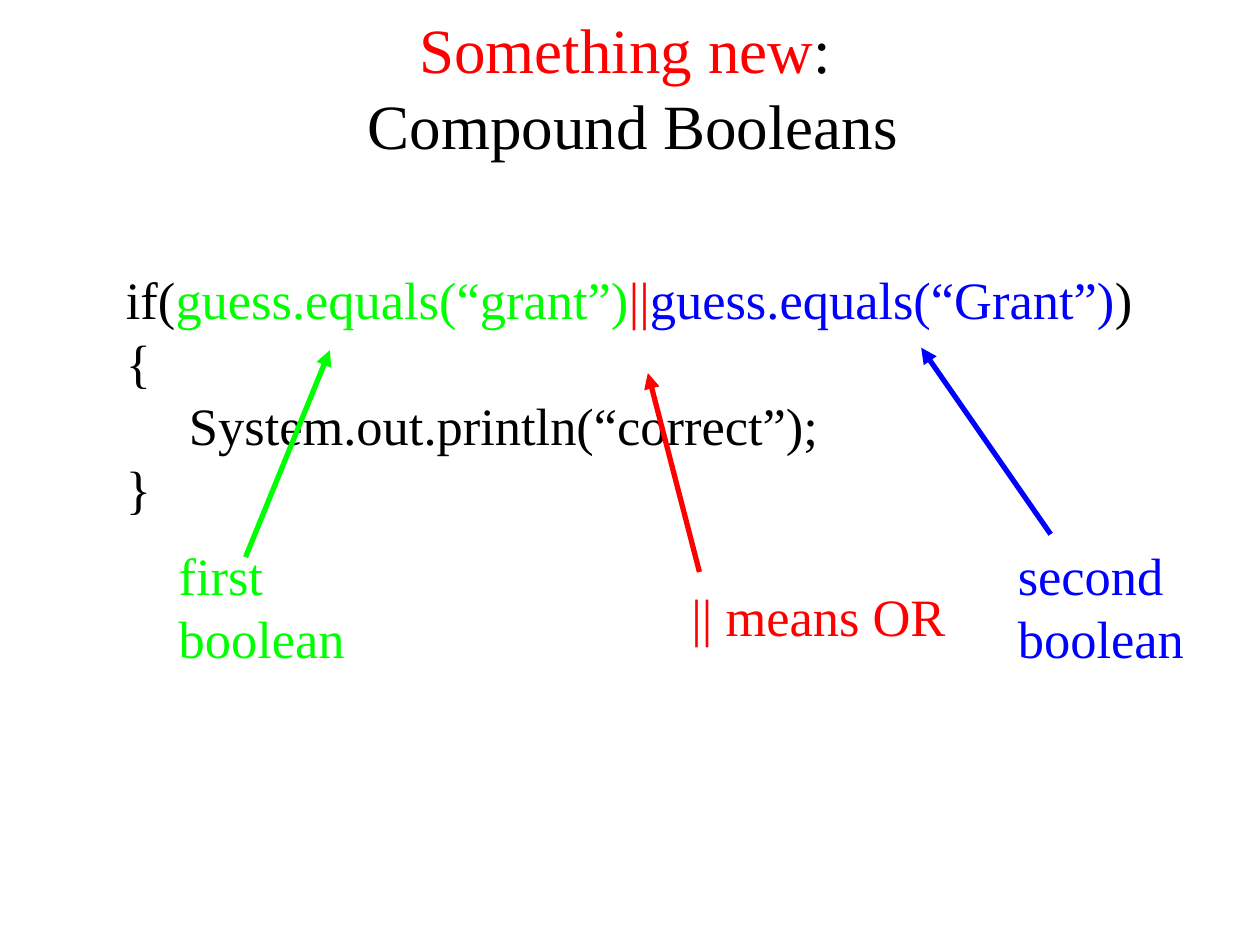
from lxml import etree
from pptx import Presentation
from pptx import util as u
from pptx.dml.color import RGBColor
from pptx.enum import shapes, text
from pptx.oxml.ns import qn

BLACK = RGBColor(0x00, 0x00, 0x00)
RED = RGBColor(0xFF, 0x00, 0x00)
GREEN = RGBColor(0x00, 0xFF, 0x00)
BLUE = RGBColor(0x00, 0x00, 0xFF)
FONT = "Times New Roman"


def add_text(s, box, lines, size, inset=0.25):
    """Fill a box (left, top, width, height in cm) with lines of (text, colour) runs."""
    tf = s.shapes.add_textbox(*map(u.Cm, box)).text_frame
    tf.word_wrap = True
    tf.margin_left = tf.margin_right = u.Cm(0.25)
    tf.margin_top = tf.margin_bottom = u.Cm(inset)
    for i, line in enumerate(lines):
        p = tf.add_paragraph() if i else tf.paragraphs[0]
        p.line_spacing = u.Pt(size * 1.2)
        for words, colour in line:
            r = p.add_run()
            r.text = words
            r.font.name = FONT
            r.font.size = u.Pt(size)
            r.font.color.rgb = colour
    return tf


def add_title(s, box):
    lines = [
        [("Something new", RED), (": ", BLACK)],
        [("Compound Booleans", BLACK)],
    ]
    tf = add_text(s, box, lines, 36, inset=0.13)
    tf.vertical_anchor = text.MSO_ANCHOR.MIDDLE
    for p in tf.paragraphs:
        p.alignment = text.PP_ALIGN.CENTER


def add_code(s, box):
    condition = [
        ("if(", BLACK),
        ("guess.equals(“grant”)", GREEN),
        ("||", RED),
        ("guess.equals(“Grant”)", BLUE),
        (")", BLACK),
    ]
    body = ["{", "\tSystem.out.println(“correct”);", "}"]
    add_text(s, box, [condition] + [[(line, BLACK)] for line in body], 30)


def add_callout(s, box, words, colour, start, end):
    """Add a label and its arrow; start and end are offsets from the box corner."""
    left, top = box[:2]
    points = [left + start[0], top + start[1], left + end[0], top + end[1]]
    arrow = s.shapes.add_connector(
        shapes.MSO_CONNECTOR.STRAIGHT, *map(u.Cm, points))
    arrow.line.color.rgb = colour
    arrow.line.width = u.Pt(3)
    etree.SubElement(arrow.line._get_or_add_ln(), qn("a:tailEnd"), type="triangle")
    etree.SubElement(arrow._element.spPr, qn("a:effectLst"))
    add_text(s, box, [[(words, colour)]], 30)


def main():
    prs = Presentation()
    prs.slide_width, prs.slide_height = u.Cm(25.4), u.Cm(19.05)
    s = prs.slides.add_slide(prs.slide_layouts[6])
    add_title(s, (1.7, 0, 22.12, 3.48))
    add_code(s, (2.29, 5.13, 21.54, 2.39))
    callouts = [
        ((13.69, 11.53, 7.7, 2.39), "|| means OR", RED, (0.41, 0), (-0.63, -4.01)),
        ((3.35, 10.69, 5.13, 2.39), "first boolean", GREEN, (1.6, 0.54), (3.3, -3.63)),
        ((20.27, 10.69, 5.13, 2.39), "second boolean", BLUE, (0.91, 0.08), (-1.7, -3.68)),
    ]
    for callout in callouts:
        add_callout(s, *callout)
    prs.save("out.pptx")


if __name__ == "__main__":
    main()
